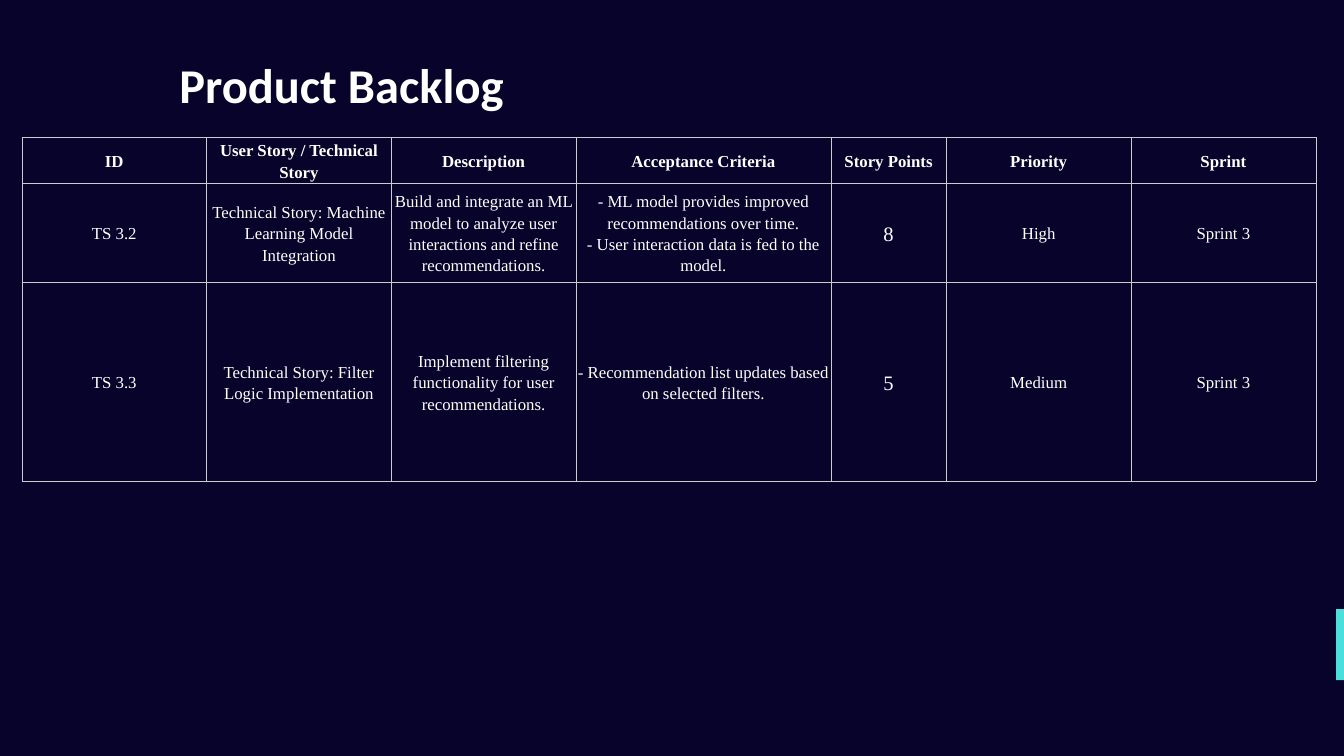
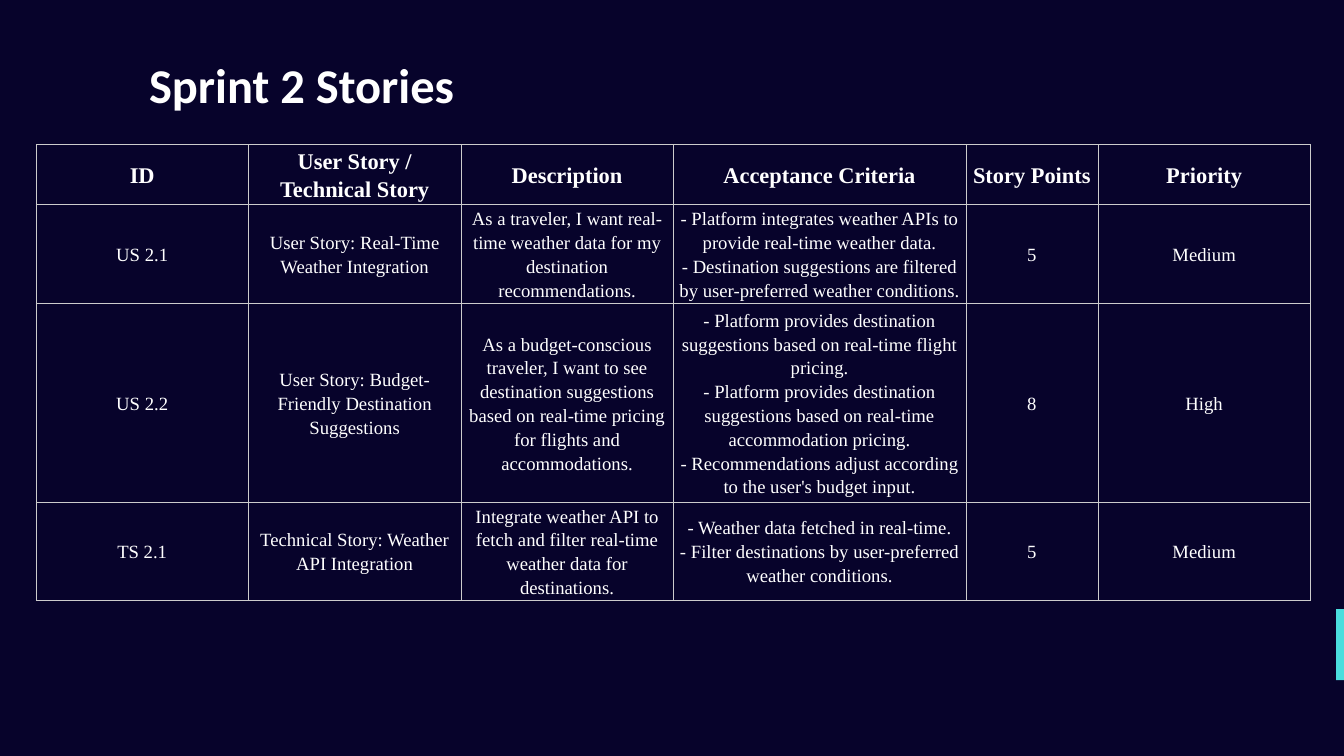
"""Build two dark backlog slides, each with a title, a bordered table and an accent band."""
from dataclasses import dataclass

from lxml.etree import SubElement
from pptx import Presentation
from pptx.dml.color import RGBColor
from pptx.enum.shapes import MSO_SHAPE
from pptx.enum.text import MSO_ANCHOR, MSO_AUTO_SIZE, PP_ALIGN
from pptx.oxml.ns import qn
from pptx.util import Cm, Pt

BACKGROUND = "07032B"
ACCENT = "4ADEDD"
TEXT = "FFFFFF"
GRID = "CCCCCC"
TITLE_FONT = "Calibri"
TABLE_FONT = "Times New Roman"
TITLE_ONLY = 5
BORDER_WIDTH = Pt(0.42)
HEADERS = ["ID", "User Story / Technical Story", "Description",
           "Acceptance Criteria", "Story Points", "Priority", "Sprint"]
POINTS_COLUMN = HEADERS.index("Story Points")


@dataclass(frozen=True)
class Backlog:
    title: str
    title_left: float
    title_width: float
    left: float
    top: float
    column_widths: list[float]
    row_heights: list[float]
    header_size: int
    body_size: int
    points_size: int
    stories: list[list[str]]


BACKLOGS = [
    Backlog(
        "Product Backlog", 6.53, 26.37, 0.83, 5.2,
        [6.98, 6.98, 6.98, 9.63, 4.37, 6.98, 6.98], [1.27, 3.76, 7.5], 18, 18, 22,
        [
            ["TS 3.2", "Technical Story: Machine Learning Model Integration",
             "Build and integrate an ML model to analyze user interactions and refine recommendations.",
             "- ML model provides improved recommendations over time.\n"
             "- User interaction data is fed to the model.",
             "8", "High", "Sprint 3"],
            ["TS 3.3", "Technical Story: Filter Logic Implementation",
             "Implement filtering functionality for user recommendations.",
             "- Recommendation list updates based on selected filters.",
             "5", "Medium", "Sprint 3"],
        ],
    ),
    Backlog(
        "Sprint 2 Stories", 5.38, 26.97, 1.36, 5.46,
        [8.03, 8.03, 8.03, 11.05, 5.0, 8.03], [1.27, 3.76, 7.5, 2.82], 24, 20, 20,
        [
            ["US 2.1", "User Story: Real-Time Weather Integration",
             "As a traveler, I want real-time weather data for my destination recommendations.",
             "- Platform integrates weather APIs to provide real-time weather data.\n"
             "- Destination suggestions are filtered by user-preferred weather conditions.",
             "5", "Medium"],
            ["US 2.2", "User Story: Budget-Friendly Destination Suggestions",
             "As a budget-conscious traveler, I want to see destination suggestions "
             "based on real-time pricing for flights and accommodations.",
             "- Platform provides destination suggestions based on real-time flight pricing.\n"
             "- Platform provides destination suggestions based on real-time accommodation pricing.\n"
             "- Recommendations adjust according to the user's budget input.",
             "8", "High"],
            ["TS 2.1", "Technical Story: Weather API Integration",
             "Integrate weather API to fetch and filter real-time weather data for destinations.",
             "- Weather data fetched in real-time.\n"
             "- Filter destinations by user-preferred weather conditions.",
             "5", "Medium"],
        ],
    ),
]


def paint(target, color: str) -> None:
    target.solid()
    target.fore_color.rgb = RGBColor.from_string(color)


def write(frame, text: str, *, size: int, font: str, bold: bool = False,
          align=PP_ALIGN.LEFT, spacing: float = 1.0) -> None:
    frame.text = text
    for paragraph in frame.paragraphs:
        paragraph.alignment = align
        paragraph.line_spacing = spacing
        for span in paragraph.runs:
            span.font.name = font
            span.font.size = Pt(size)
            span.font.bold = bold
            span.font.color.rgb = RGBColor.from_string(TEXT)


def add_borders(cell) -> None:
    properties = cell._tc.get_or_add_tcPr()
    for index, side in enumerate(("a:lnL", "a:lnR", "a:lnT", "a:lnB")):
        line = properties.makeelement(qn(side), {"w": str(int(BORDER_WIDTH))})
        fill = SubElement(line, qn("a:solidFill"))
        SubElement(fill, qn("a:srgbClr"), val=GRID)
        properties.insert(index, line)


def add_accent_band(page) -> None:
    band = page.shapes.add_shape(MSO_SHAPE.RECTANGLE, Cm(50.5), Cm(23.03), Cm(0.3), Cm(2.68))
    band.shadow.inherit = False
    paint(band.fill, ACCENT)
    band.line.fill.background()


def place_title(page, backlog: Backlog) -> None:
    title = page.shapes.title
    title.left, title.top = Cm(backlog.title_left), Cm(1.96)
    title.width, title.height = Cm(backlog.title_width), Cm(3.48)
    frame = title.text_frame
    frame.auto_size = MSO_AUTO_SIZE.NONE
    frame.vertical_anchor = MSO_ANCHOR.TOP
    write(frame, backlog.title, size=52, font=TITLE_FONT, bold=True)


def add_story_table(page, backlog: Backlog) -> None:
    widths, heights = backlog.column_widths, backlog.row_heights
    rows = [HEADERS[:len(widths)], *backlog.stories]
    table = page.shapes.add_table(
        len(rows), len(widths), Cm(backlog.left), Cm(backlog.top),
        Cm(sum(widths)), Cm(sum(heights))).table
    table.first_row = table.horz_banding = False
    for column, width in zip(table.columns, widths):
        column.width = Cm(width)
    for row, height in zip(table.rows, heights):
        row.height = Cm(height)
    for row_index, values in enumerate(rows):
        is_header = row_index == 0
        for column_index, value in enumerate(values):
            if is_header:
                size = backlog.header_size
            elif column_index == POINTS_COLUMN:
                size = backlog.points_size
            else:
                size = backlog.body_size
            cell = table.cell(row_index, column_index)
            cell.fill.background()
            cell.vertical_anchor = MSO_ANCHOR.MIDDLE
            cell.margin_left = cell.margin_right = Cm(0.07)
            cell.margin_top = cell.margin_bottom = Cm(0.05)
            write(cell.text_frame, value, size=size, font=TABLE_FONT, bold=is_header,
                  align=PP_ALIGN.CENTER, spacing=1.15)
            add_borders(cell)


def main() -> None:
    deck = Presentation()
    deck.slide_width, deck.slide_height = Cm(50.8), Cm(28.58)
    paint(deck.slide_master.background.fill, BACKGROUND)
    for backlog in BACKLOGS:
        page = deck.slides.add_slide(deck.slide_layouts[TITLE_ONLY])
        add_accent_band(page)
        place_title(page, backlog)
        add_story_table(page, backlog)
    deck.save("out.pptx")


if __name__ == "__main__":
    main()
